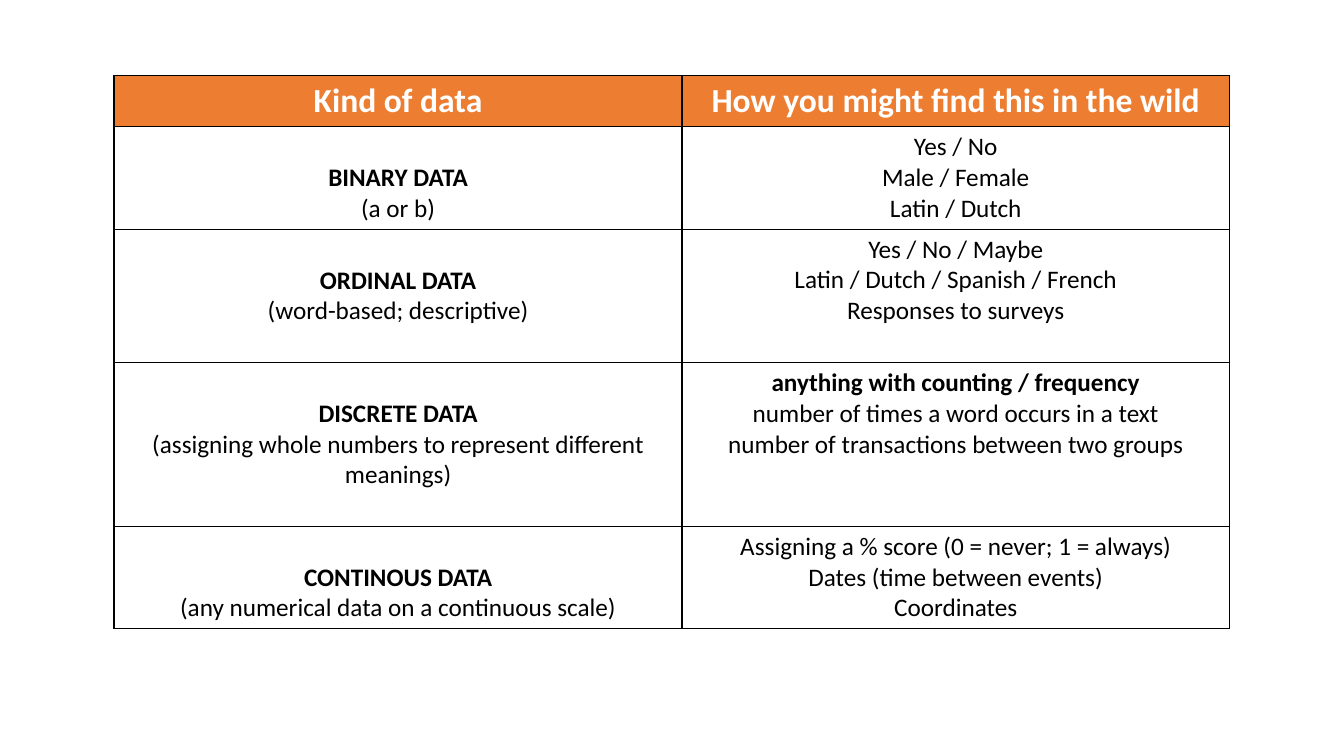
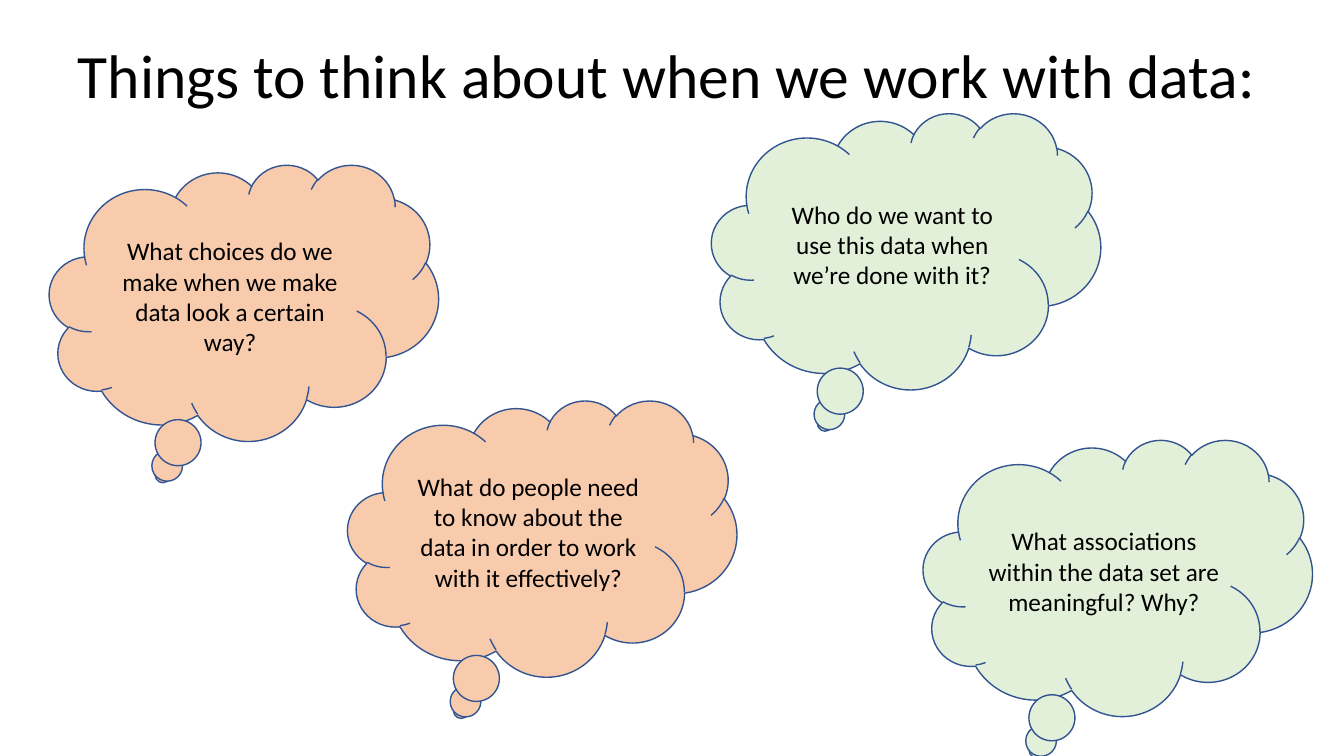
import pptx
import pptx.dml.color
import pptx.enum.shapes
import pptx.enum.text
import pptx.oxml
import pptx.oxml.ns
import pptx.util

Pt = pptx.util.Pt


def color(hex_string):
    return pptx.dml.color.RGBColor.from_string(hex_string)


class Deck:
    """Holds the shared style and the slide being built."""

    FONT = "Calibri"
    BLACK, WHITE = "000000", "FFFFFF"
    HEADER, PEACH, GREEN, OUTLINE = "ED7D31", "F8CBAD", "E2F0D9", "325491"
    TITLE_SIZE, HEADER_SIZE, BODY_SIZE = 44, 24, 18
    BODY_LINE = 22  # height of one body line

    def __init__(self):
        self.presentation = pptx.Presentation()
        self.presentation.slide_width = Pt(960)
        self.presentation.slide_height = Pt(540)
        self.slide = None

    def new_slide(self):
        layout = self.presentation.slide_layouts[6]
        self.slide = self.presentation.slides.add_slide(layout)

    def add_text(self, frame, lines, size, text_color=BLACK, bold_first=False):
        """Fill a text frame with centred paragraphs."""
        frame.word_wrap = True
        for index, line in enumerate(lines):
            paragraph = frame.add_paragraph() if index else frame.paragraphs[0]
            paragraph.alignment = pptx.enum.text.PP_ALIGN.CENTER
            run = paragraph.add_run()
            run.text = line
            run.font.name = self.FONT
            run.font.size = Pt(size)
            run.font.bold = bold_first and index == 0
            run.font.color.rgb = color(text_color)

    def title(self, text):
        box = self.slide.shapes.add_textbox(Pt(43.2), Pt(28.8), Pt(866.9), Pt(104.4))
        self.add_text(box.text_frame, [text], self.TITLE_SIZE)
        box.text_frame.paragraphs[0].line_spacing = 0.9

    def thought(self, left, top, text, fill):
        cloud = self.slide.shapes.add_shape(
            pptx.enum.shapes.MSO_SHAPE.CLOUD_CALLOUT,
            Pt(left), Pt(top), Pt(277.9), Pt(197.3))
        cloud.shadow.inherit = False
        cloud.fill.solid()
        cloud.fill.fore_color.rgb = color(fill)
        cloud.line.color.rgb = color(self.OUTLINE)
        cloud.line.width = Pt(1)
        cloud.text_frame.vertical_anchor = pptx.enum.text.MSO_ANCHOR.MIDDLE
        self.add_text(cloud.text_frame, [text], self.BODY_SIZE)

    def style_cell(self, cell, fill):
        properties = cell._tc.get_or_add_tcPr()
        for side in "LRTB":
            properties.append(pptx.oxml.parse_xml(
                f'<a:ln{side} {pptx.oxml.ns.nsdecls("a")} w="{Pt(1)}"><a:solidFill>'
                f'<a:srgbClr val="{self.BLACK}"/></a:solidFill></a:ln{side}>'))
        cell.fill.solid()
        cell.fill.fore_color.rgb = color(fill)

    def table(self, headers, rows, left, top, widths, heights):
        table = self.slide.shapes.add_table(
            len(heights), len(widths), Pt(left), Pt(top),
            Pt(sum(widths)), Pt(sum(heights))).table
        table.first_row = table.horz_banding = False
        for column, width in zip(table.columns, widths):
            column.width = Pt(width)
        for row, height in zip(table.rows, heights):
            row.height = Pt(height)

        # Header row
        for index, header in enumerate(headers):
            cell = table.cell(0, index)
            self.style_cell(cell, self.HEADER)
            self.add_text(cell.text_frame, [header], self.HEADER_SIZE, self.WHITE, True)

        # Kinds start one line lower than their examples
        for index, (kind, examples, bold_example) in enumerate(rows, 1):
            kind_cell, example_cell = table.cell(index, 0), table.cell(index, 1)
            for cell in (kind_cell, example_cell):
                self.style_cell(cell, self.WHITE)
            kind_cell.margin_top = Pt(3.6 + self.BODY_LINE)
            self.add_text(kind_cell.text_frame, kind, self.BODY_SIZE, bold_first=True)
            self.add_text(example_cell.text_frame, examples, self.BODY_SIZE,
                          bold_first=bold_example)


def main():
    deck = Deck()

    # Slide 1: kinds of data
    deck.new_slide()
    deck.table(
        ["Kind of data", "How you might find this in the wild"],
        [
            (["BINARY DATA", "(a or b)"],
             ["Yes / No", "Male / Female", "Latin / Dutch"], False),
            (["ORDINAL DATA", "(word-based; descriptive)"],
             ["Yes / No / Maybe", "Latin / Dutch / Spanish / French",
              "Responses to surveys"], False),
            (["DISCRETE DATA",
              "(assigning whole numbers to represent different meanings)"],
             ["anything with counting / frequency",
              "number of times a word occurs in a text",
              "number of transactions between two groups"], True),
            (["CONTINOUS DATA", "(any numerical data on a continuous scale)"],
             ["Assigning a % score (0 = never; 1 = always)",
              "Dates (time between events)", "Coordinates"], False),
        ],
        left=81.5, top=54, widths=[405.7, 391],
        heights=[36.5, 73.2, 95.2, 117.1, 73.2])

    # Slide 2: questions in thought clouds
    deck.new_slide()
    deck.title("Things to think about when we work with data:")
    for left, top, text, fill in [
        (35.3, 117.4, "What choices do we make when we make data look a certain way?",
         deck.PEACH),
        (508.3, 80.6, "Who do we want to use this data when we’re done with it?",
         deck.GREEN),
        (248.4, 285.8, "What do people need to know about the data in order to "
         "work with it effectively?", deck.PEACH),
        (659.5, 313.9, "What associations within the data set are meaningful? Why?",
         deck.GREEN),
    ]:
        deck.thought(left, top, text, fill)

    deck.presentation.save("out.pptx")


if __name__ == "__main__":
    main()
